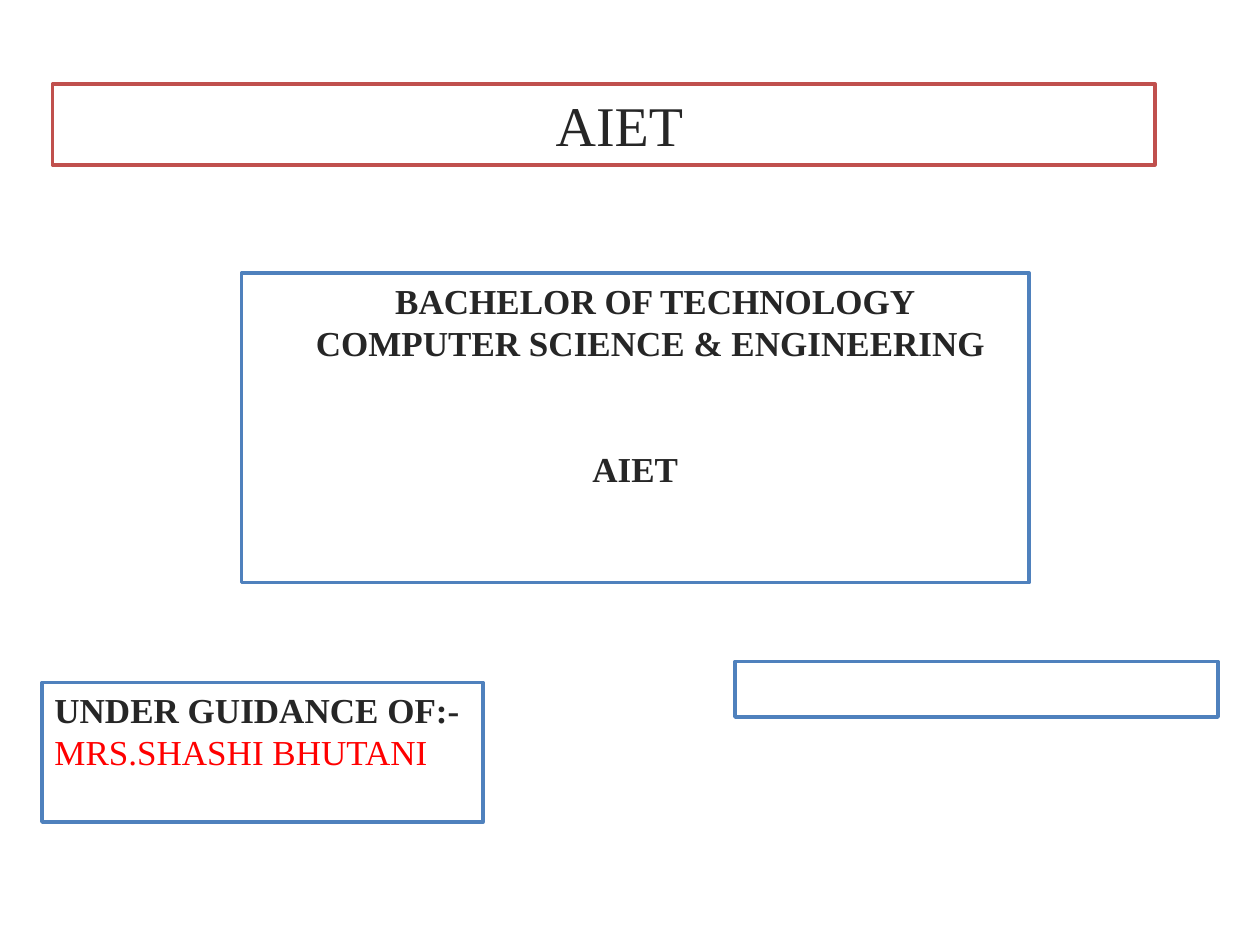
from pptx import Presentation
from pptx.dml.color import RGBColor
from pptx.enum.shapes import MSO_SHAPE as Shape
from pptx.enum.text import MSO_ANCHOR as Anchor, MSO_AUTO_SIZE as AutoSize, PP_ALIGN as Align
from pptx.oxml.ns import qn
from pptx.util import Inches, Pt

WHITE = RGBColor(0xFF, 0xFF, 0xFF)
BLUE = RGBColor(0x4F, 0x81, 0xBD)
BRICK = RGBColor(0xC0, 0x50, 0x4D)
INK = RGBColor(0x26, 0x26, 0x26)
RED = RGBColor(0xFF, 0x00, 0x00)
FONT = "Times New Roman"
WIDTH, HEIGHT = Inches(10), Inches(7.5)
COLUMN, ROW = WIDTH // 120, HEIGHT // 90


def frame(box, area, line):
    """Place a white box on the grid with a coloured outline and top-aligned text."""
    left, top, width, height = area
    box.left, box.top = int(left * COLUMN), int(top * ROW)
    box.width, box.height = int(width * COLUMN), int(height * ROW)
    box.fill.solid()
    box.fill.fore_color.rgb = WHITE
    box.line.color.rgb = line
    box.line.width = Pt(2)
    text = box.text_frame
    text.word_wrap = True
    text.auto_size = AutoSize.NONE
    text.vertical_anchor = Anchor.TOP
    return text


def add_rectangle(page, area):
    """Add a blue-outlined rectangle and return its text frame."""
    box = page.shapes.add_shape(Shape.RECTANGLE, 0, 0, COLUMN, ROW)
    box.shadow.inherit = False
    return frame(box, area, BLUE)


def write(text, index, words, size=20, bold=True, color=INK, align=Align.LEFT, indent=0, before=0):
    """Write one unbulleted paragraph with its left indent and space before."""
    para = text.paragraphs[0] if index == 0 else text.add_paragraph()
    properties = para._p.get_or_add_pPr()
    properties.set("marL", str(Inches(indent)))
    properties.set("indent", "0")
    properties.append(properties.makeelement(qn("a:buNone"), {}))
    para.alignment = align
    para.space_before = Pt(before)
    span = para.add_run()
    span.text = words
    span.font.name = FONT
    span.font.size = Pt(size)
    span.font.bold = bold
    span.font.color.rgb = color


def fill_title(page, area):
    """Set the institute name in the title placeholder."""
    text = frame(page.shapes.title, area, BRICK)
    write(text, 0, "AIET", size=32, bold=False, align=Align.CENTER, indent=0.25)


def fill_degree(page, area):
    """Set the degree, department and institute in the body placeholder."""
    text = frame(page.placeholders[1], area, BLUE)
    write(text, 0, "BACHELOR OF TECHNOLOGY", indent=1.12)
    write(text, 1, "COMPUTER SCIENCE & ENGINEERING", indent=0.49)
    write(text, 2, "AIET", align=Align.CENTER, before=48)


def add_guidance(page, area):
    """Add the box that names the guide."""
    text = add_rectangle(page, area)
    write(text, 0, "UNDER GUIDANCE OF:-")
    write(text, 1, "MRS.SHASHI BHUTANI", bold=False, color=RED)


def main():
    """Build the cover slide."""
    deck = Presentation()
    deck.slide_width, deck.slide_height = WIDTH, HEIGHT
    page = deck.slides.add_slide(deck.slide_layouts[1])
    fill_title(page, (5, 8, 105, 7.7))
    fill_degree(page, (23, 26, 75, 29.5))
    add_rectangle(page, (70, 63, 46, 5.3))
    add_guidance(page, (4, 65, 42, 13.3))
    deck.save("out.pptx")


if __name__ == "__main__":
    main()
